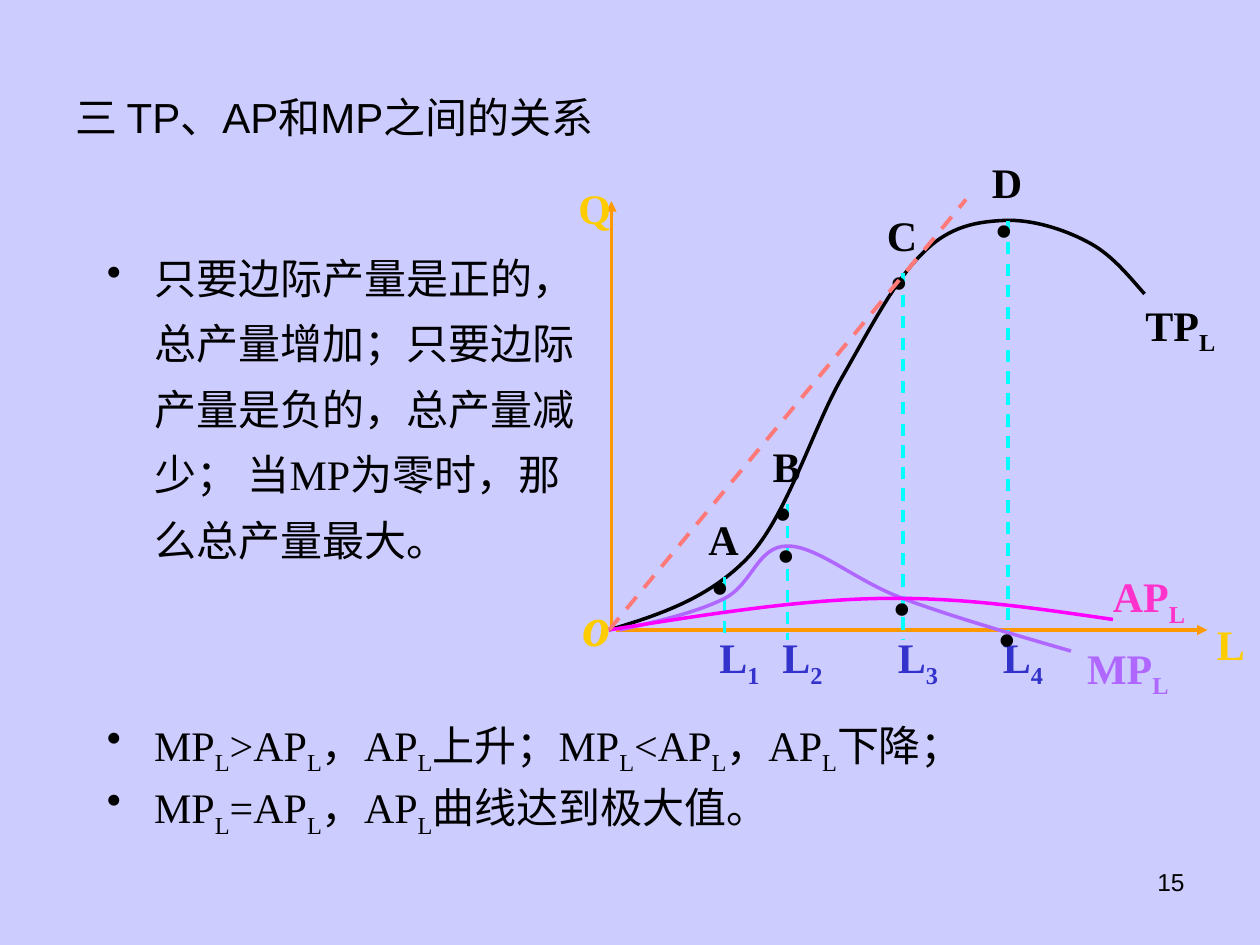
from pptx import Presentation
from pptx.dml.color import RGBColor
from pptx.enum.dml import MSO_LINE
from pptx.enum.shapes import MSO_CONNECTOR
from pptx.enum.text import MSO_ANCHOR, MSO_AUTO_SIZE, PP_ALIGN
from pptx.oxml.ns import qn
from pptx.oxml.xmlchemy import OxmlElement
from pptx.util import Pt

STRAIGHT = MSO_CONNECTOR.STRAIGHT
DASH = MSO_LINE.DASH
CENTER, RIGHT = PP_ALIGN.CENTER, PP_ALIGN.RIGHT
TOP, MIDDLE = MSO_ANCHOR.TOP, MSO_ANCHOR.MIDDLE
NO_FIT, GROW = MSO_AUTO_SIZE.NONE, MSO_AUTO_SIZE.SHAPE_TO_FIT_TEXT

BACKGROUND = RGBColor(0xCC, 0xCC, 0xFF)
BLACK = RGBColor(0, 0, 0)
ORANGE = RGBColor(0xFF, 0x99, 0x00)
GOLD = RGBColor(0xFF, 0xCC, 0x00)
CYAN = RGBColor(0x00, 0xFF, 0xFF)
PURPLE = RGBColor(0xAF, 0x67, 0xFF)
MAGENTA = RGBColor(0xFF, 0x00, 0xFF)
PINK = RGBColor(0xFF, 0x33, 0xCC)
BLUE = RGBColor(0x33, 0x33, 0xCC)
CORAL = RGBColor(0xFF, 0x79, 0x79)

SANS, SERIF = "Arial", "Times New Roman"

# Curves as a start point followed by Bézier triples, measured right and up from O
TOTAL_CURVE = [
    (0, 0), (28.6, 8.6), (57.4, 18), (80, 42),
    (102, 66), (116.4, 115), (133, 144),
    (149.5, 172.8), (164, 201), (180, 216),
    (195, 231), (210.7, 233.3), (226, 234),
    (241.7, 234.7), (259.7, 229), (273, 222),
    (286.3, 215.3), (295.7, 203.8), (306, 192),
]
MARGINAL_CURVE = [
    (6, 0), (28, 5), (50, 10), (66, 18),
    (82, 26), (84.7, 48), (102, 48),
    (119.3, 48), (141, 28), (168, 18),
    (195, 8), (229.4, -2), (264, -12),
]
AVERAGE_CURVE = [
    (0, 0), (54, 8.6), (108, 17.3), (156, 18),
    (204, 18.7), (246, 12), (288, 6),
]


def add_text_box(slide, box, margins=(7.2, 3.6, 7.2, 3.6), anchor=TOP, fit=NO_FIT):
    shape = slide.shapes.add_textbox(*map(Pt, box))
    frame = shape.text_frame
    frame.word_wrap = True
    frame.auto_size = fit
    frame.vertical_anchor = anchor
    (frame.margin_left, frame.margin_top,
     frame.margin_right, frame.margin_bottom) = map(Pt, margins)
    return frame


def add_run(paragraph, text, size, font, color=BLACK, bold=False, italic=False):
    run = paragraph.add_run()
    run.text = text
    run.font.size = Pt(size)
    run.font.name = font
    run.font.color.rgb = color
    run.font.bold = bold
    run.font.italic = italic
    return run


def add_subscripted(paragraph, text, size, font, color=BLACK, bold=False, italic=False):
    """Add text in which the character after each underscore is a subscript."""
    style = (size, font, color, bold, italic)
    first, *others = text.split("_")
    add_run(paragraph, first, *style)
    for part in others:
        subscript = add_run(paragraph, part[0], *style)
        subscript._r.get_or_add_rPr().set("baseline", "-25000")
        if part[1:]:
            add_run(paragraph, part[1:], *style)


def make_bullet(paragraph, line_spacing):
    properties = paragraph._p.get_or_add_pPr()
    properties.set("marL", str(Pt(27)))
    properties.set("indent", str(Pt(-27)))
    bullet = OxmlElement("a:buChar")
    bullet.set("char", "•")
    properties.append(bullet)
    paragraph.line_spacing = line_spacing


def add_line(slide, start, end, color, width, dashed=False, arrow=False):
    line = slide.shapes.add_connector(STRAIGHT, *map(Pt, start + end))
    line.line.color.rgb = color
    line.line.width = Pt(width)
    if dashed:
        line.line.dash_style = DASH
    if arrow:
        tail = OxmlElement("a:tailEnd")
        tail.set("type", "triangle")
        line.line._get_or_add_ln().append(tail)
    line._element.spPr.append(OxmlElement("a:effectLst"))


def add_curve(slide, points, color):
    start, *others = [(Pt(x), Pt(y)) for x, y in points]
    builder = slide.shapes.build_freeform(*start, scale=1.0)
    builder.add_line_segments(others, close=False)
    shape = builder.convert_to_shape()
    shape.shadow.inherit = False
    shape.fill.background()
    shape.line.color.rgb = color
    shape.line.width = Pt(2)
    # Turn every three straight segments into one Bézier segment
    segments = list(shape._element.iter(qn("a:lnTo")))
    for index in range(0, len(segments), 3):
        bezier = OxmlElement("a:cubicBezTo")
        segments[index].addprevious(bezier)
        for segment in segments[index:index + 3]:
            bezier.append(segment[0])
            segment.getparent().remove(segment)


def add_title(slide, box):
    frame = add_text_box(slide, box, anchor=MIDDLE)
    add_run(frame.paragraphs[0], "三 TP、AP和MP之间的关系", 24, SANS)


def add_total_note(slide, box):
    paragraph = add_text_box(slide, box).paragraphs[0]
    make_bullet(paragraph, 1.3)
    add_run(paragraph, "只要边际产量是正的，总产量增加；只要边际产量是负的，总产量减少； 当", 24, SANS)
    add_run(paragraph, "MP", 24, SERIF)
    add_run(paragraph, "为零时，那么总产量最大。", 24, SANS)


def add_average_notes(slide, box):
    frame = add_text_box(slide, box)
    rising, peak = frame.paragraphs[0], frame.add_paragraph()
    for paragraph, text in (
        (rising, "MP_L>AP_L，AP_L上升；MP_L<AP_L，AP_L下降；"),
        (peak, "MP_L=AP_L，AP_L曲线达到极大值。"),
    ):
        make_bullet(paragraph, 0.9)
        add_subscripted(paragraph, text, 24, SERIF)
    peak.space_before = Pt(6)


def add_page_number(slide, box):
    paragraph = add_text_box(slide, box).paragraphs[0]
    paragraph.alignment = RIGHT
    add_run(paragraph, "15", 14, SANS)


def add_graph(slide, box):
    left, top, _, height = box

    def point(x, y):
        return left + x, top + height - y

    def label(text, x, y, width, color=BLACK, size=24, italic=False):
        frame = add_text_box(slide, (*point(x, y), width, size * 2.2),
                             margins=(20, 0, 3, 12), fit=GROW)
        paragraph = frame.paragraphs[0]
        paragraph.alignment = CENTER
        paragraph.line_spacing = 1.4
        add_subscripted(paragraph, text, size, SERIF, color, True, italic)

    def dot(x, y):
        label("·", x, y, 42, size=44)

    # Axes
    add_line(slide, point(4, 0), point(342, 0), ORANGE, 1.75, arrow=True)
    add_line(slide, point(1.4, 0), point(1.4, 245), ORANGE, 1.75, arrow=True)
    label("o", -35, 38, 39, GOLD, size=32, italic=True)
    label("L", 327.4, 18, 39, GOLD)
    label("Q", -37.7, 267, 42, GOLD)

    # Curves and the vertical guides
    add_curve(slide, [point(*p) for p in TOTAL_CURVE], BLACK)
    for x, high, low in ((228, 234, 0), (168, 204, -6), (102, 72, -6), (66, 30, -6)):
        add_line(slide, point(x, high), point(x, low), CYAN, 1.75, dashed=True)
    add_curve(slide, [point(*p) for p in MARGINAL_CURVE], PURPLE)
    add_curve(slide, [point(*p) for p in AVERAGE_CURVE], MAGENTA)
    label("TP_L", 270, 202, 96)
    label("AP_L", 252, 47, 96, PINK)
    label("MP_L", 240, 6, 96, PURPLE)

    # Marked points and their labour inputs
    marks = (("A", 36, 78), ("B", 72, 120), ("C", 138, 252), ("D", 198, 282))
    for number, (name, x, y) in enumerate(marks, start=1):
        dot(x - 1.6, y - 4)
        label(name, x, y, 42)
        label(f"L_{number}", x - 18, 12, 96, BLUE)

    # Ray from O, and the points on the lower curves
    add_line(slide, point(0, 0), point(204, 246), CORAL, 2.25, dashed=True)
    for x, y in ((72, 92), (138, 62), (198, 44)):
        dot(x, y)


def main():
    presentation = Presentation()
    presentation.slide_width, presentation.slide_height = Pt(720), Pt(540)
    slide = presentation.slides.add_slide(presentation.slide_layouts[6])
    slide.background.fill.solid()
    slide.background.fill.fore_color.rgb = BACKGROUND

    add_page_number(slide, (516, 492, 168, 37.5))
    add_title(slide, (36, 21.6, 648, 90))
    add_total_note(slide, (54, 132, 282, 306))
    add_average_notes(slide, (54, 408, 648, 84))
    add_graph(slide, (348, 114, 342, 246))
    presentation.save("out.pptx")


if __name__ == "__main__":
    main()
